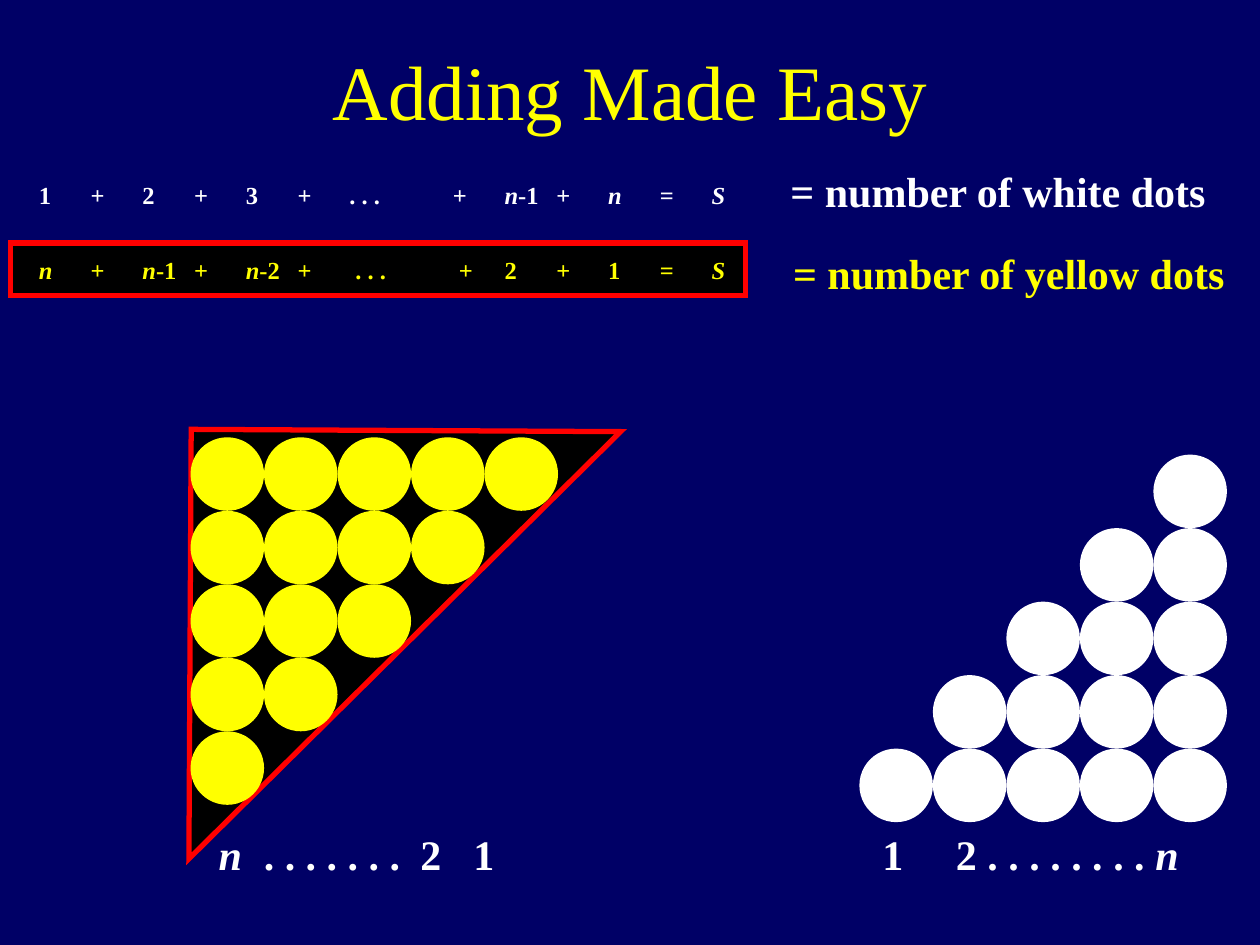
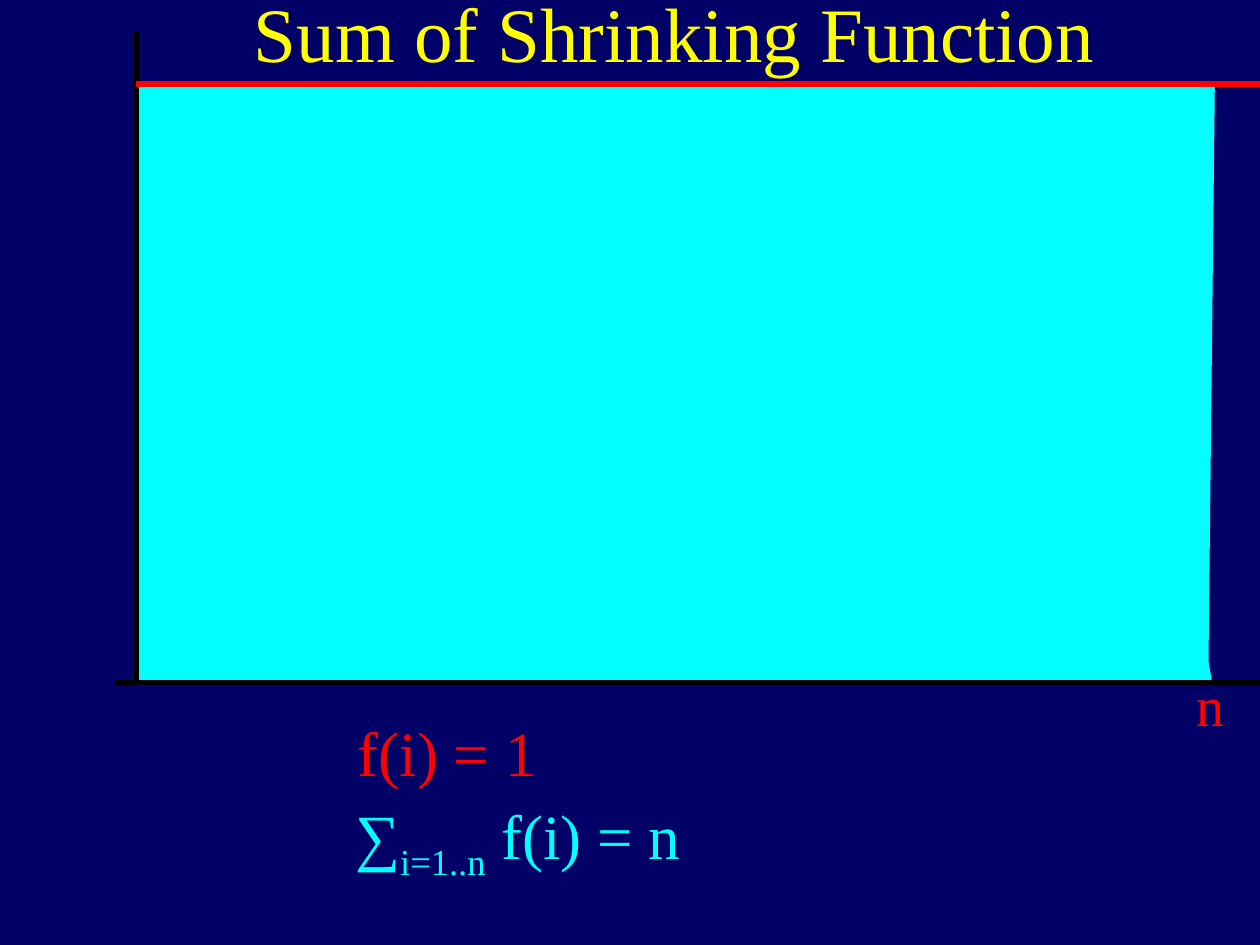
from lxml import etree
from pptx import Presentation, util as u
from pptx.dml.color import RGBColor
from pptx.enum import shapes, text
from pptx.oxml import ns

# The slide is a grid of 120 columns by 90 rows
CELL = u.Inches(10) / 120
COLUMNS, ROWS = 120, 90
FONT = "Times New Roman"
COLOURS = {
    "background": "000066", "title": "FFFF00", "yellow": "FFFF00",
    "white": "FFFFFF", "red": "FF0000", "black": "000000", "cyan": "00FFFF",
}
INSETS = ("margin_left", "margin_top", "margin_right", "margin_bottom")
ITALIC = {"i": "1"}
SUBSCRIPT = {"baseline": "-25000"}


def colour(name):
    return RGBColor.from_string(COLOURS[name])


def cells(*values):
    """Turn grid cells into lengths."""
    return [u.Emu(round(value * CELL)) for value in values]


def apply(target, values):
    for name, value in values.items():
        setattr(target, name, value)


def fill_text(frame, content, size, paint, align="LEFT", marked=ITALIC,
              bold=False, tabs=()):
    """Write one paragraph; every second part between bars is marked."""
    paragraph = frame.paragraphs[0]
    paragraph.alignment = getattr(text.PP_ALIGN, align)
    if tabs:
        stops = etree.SubElement(paragraph._p.get_or_add_pPr(), ns.qn("a:tabLst"))
        for position in cells(*tabs):
            etree.SubElement(stops, ns.qn("a:tab"), pos=str(position), algn="l")
    for index, part in enumerate(content.split("|")):
        if not part:
            continue
        run = paragraph.add_run()
        run.text = part
        apply(run.font, {"name": FONT, "size": u.Pt(size), "bold": bold})
        run.font.color.rgb = colour(paint)
        if index % 2:
            for name, value in marked.items():
                run._r.get_or_add_rPr().set(name, value)


def add_text(slide, box, content, size, paint, anchor="TOP", inset=True, **options):
    frame = slide.shapes.add_textbox(*cells(*box)).text_frame
    apply(frame, {"word_wrap": True,
                  "vertical_anchor": getattr(text.MSO_ANCHOR, anchor)})
    if not inset:
        apply(frame, dict.fromkeys(INSETS, 0))
    fill_text(frame, content, size, paint, **options)


def paint_shape(shape, fill, line=None):
    shape.shadow.inherit = False
    shape.fill.solid()
    shape.fill.fore_color.rgb = colour(fill)
    if line:
        shape.line.color.rgb = colour(line)
        shape.line.width = u.Pt(3)
        # Sharp corners
        etree.SubElement(shape.line._get_or_add_ln(), ns.qn("a:miter"), lim="800000")
    else:
        shape.line.fill.background()


def add_shape(slide, kind, box, fill, line=None, rotation=0):
    shape = slide.shapes.add_shape(getattr(shapes.MSO_SHAPE, kind), *cells(*box))
    shape.rotation = rotation
    paint_shape(shape, fill, line)


def add_line(slide, ends, paint):
    line = slide.shapes.add_connector(shapes.MSO_CONNECTOR.STRAIGHT, *cells(*ends))
    line.line.color.rgb = colour(paint)
    line.line.width = u.Pt(3)
    etree.SubElement(line._element.spPr, ns.qn("a:effectLst"))


def add_titled_slide(presentation, title, box, align):
    slide = presentation.slides.add_slide(presentation.slide_layouts[5])
    left, top, width, height = cells(*box)
    apply(slide.shapes.title,
          {"left": left, "top": top, "width": width, "height": height})
    frame = slide.shapes.title.text_frame
    apply(frame, {"auto_size": text.MSO_AUTO_SIZE.NONE, "word_wrap": True,
                  "vertical_anchor": text.MSO_ANCHOR.MIDDLE})
    fill_text(frame, title, 44, "title", align=align)
    return slide


def add_sum_row(slide, box, terms, paint):
    """Spread the terms evenly; None leaves a column empty."""
    left, top, width, height = box
    step = width / len(terms)
    for column, term in enumerate(terms):
        if term:
            add_text(slide, (left + column * step, top, step, height), term, 14,
                     paint, inset=False, bold=True)


def add_dot_triangle(slide, box, count, paint, rising):
    """Rows grow downwards against the right edge, or shrink from the left."""
    left, top, width, _ = box
    size = width / count
    for row in range(count):
        columns = range(count - 1 - row, count) if rising else range(count - row)
        for column in columns:
            add_shape(slide, "OVAL",
                      (left + column * size, top + row * size, size, size), paint)


def build_adding_slide(presentation):
    slide = add_titled_slide(presentation, "Adding Made Easy", (9, 1, 102, 15), "CENTER")

    # The sum written forwards and backwards
    add_shape(slide, "RECTANGLE", (1, 23.15, 70, 5), "black", "red")
    forwards = ["1", "+", "2", "+", "3", "+", ". . .", None,
                "+", "|n|-1", "+", "|n|", "=", "|S|"]
    backwards = ["|n|", "+", "|n|-1", "+", "|n|-2", "+", " . . .", None,
                 " +", "2", "+", "1", "=", "|S|"]
    add_sum_row(slide, (3.7, 17.15, 69, 2.8), forwards, "white")
    add_sum_row(slide, (3.7, 24.25, 69, 2.8), backwards, "yellow")

    # Dot triangles
    add_shape(slide, "RIGHT_TRIANGLE", (18.1, 41, 40.9, 40.9), "black", "red", 90.3)
    add_dot_triangle(slide, (18.15, 41.65, 35, 35), 5, "yellow", rising=False)
    add_dot_triangle(slide, (81.85, 43.3, 35, 35), 5, "white", rising=True)

    # Captions
    captions = [
        ((74.1, 15.15, 45, 6), "= number of white dots", "white", ()),
        ((74.35, 23, 45.5, 6), "= number of yellow dots", "yellow", ()),
        ((19.65, 78.3, 30, 6), "|n|\t. . . . . . .\t2\t1", "white", (4.3, 19.2, 24.25)),
        ((82.85, 78.3, 32, 6), "1\t2 . . . . . . . . |n|", "white", (7,)),
    ]
    for box, content, paint, tabs in captions:
        add_text(slide, box, content, 24, paint, anchor="MIDDLE", bold=True, tabs=tabs)


def add_area_plot(slide, box):
    """Area under a constant function, with its axes."""
    left, top, width, height = box
    right, bottom = left + width, top + height
    outline = [(left, top), (right, top + 0.25), (right - 0.6, bottom - 2),
               (right - 0.25, bottom), (left, bottom)]
    points = [cells(*point) for point in outline]
    builder = slide.shapes.build_freeform(*points[0])
    builder.add_line_segments(points[1:], close=True)
    paint_shape(builder.convert_to_shape(), "cyan")
    add_line(slide, (left, top - 5, left, bottom), "black")
    add_line(slide, (left - 2, bottom, COLUMNS, bottom), "black")
    add_line(slide, (left, top, COLUMNS, top), "red")


def build_shrinking_slide(presentation):
    slide = add_titled_slide(presentation, "Sum of Shrinking Function",
                             (18, -2, 87.5, 10), "RIGHT")
    add_area_plot(slide, (13, 8, 102.7, 57))

    # Formulas
    add_text(slide, (32.9, 67.35, 30, 8.4), "f(i) = 1", 36, "red")
    add_text(slide, (32.65, 75.25, 40, 9.5), "∑|i=1..n| f(i) = n", 36, "cyan",
             marked=SUBSCRIPT)
    add_text(slide, (112.8, 63.25, 6, 7.7), "n", 32, "red")


def main():
    presentation = Presentation()
    presentation.slide_width, presentation.slide_height = cells(COLUMNS, ROWS)
    background = presentation.slide_master.background.fill
    background.solid()
    background.fore_color.rgb = colour("background")
    build_adding_slide(presentation)
    build_shrinking_slide(presentation)
    presentation.save("out.pptx")


if __name__ == "__main__":
    main()
